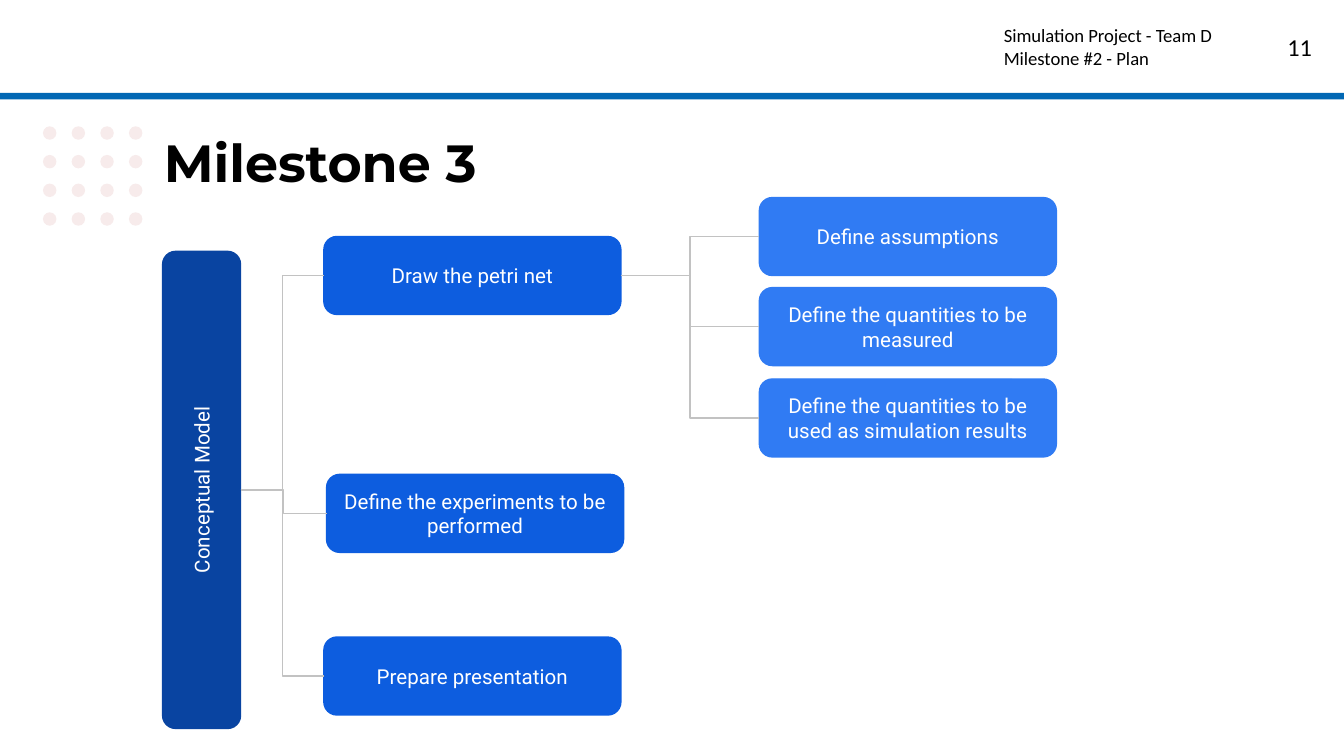
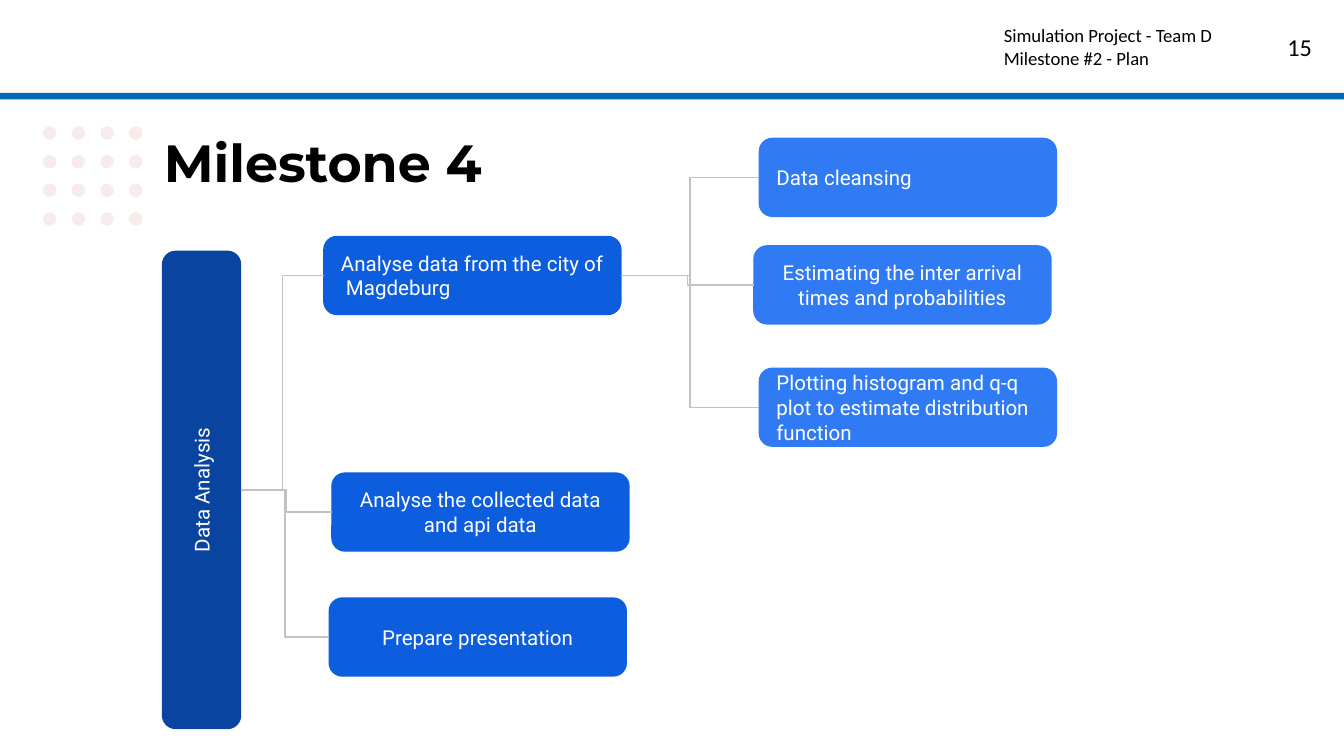
from collections import namedtuple

from lxml import etree
from pptx import Presentation
from pptx.dml.color import RGBColor
from pptx.enum.shapes import MSO_CONNECTOR, MSO_SHAPE
from pptx.enum.text import MSO_ANCHOR, PP_ALIGN
from pptx.oxml.ns import qn
from pptx.util import Inches, Pt

ELBOW = MSO_CONNECTOR.ELBOW
OVAL, RECTANGLE, ROUNDED = MSO_SHAPE.OVAL, MSO_SHAPE.RECTANGLE, MSO_SHAPE.ROUNDED_RECTANGLE
LEFT, CENTER, RIGHT = PP_ALIGN.LEFT, PP_ALIGN.CENTER, PP_ALIGN.RIGHT
TOP, MIDDLE = MSO_ANCHOR.TOP, MSO_ANCHOR.MIDDLE

COLORS = {
    "paper": "FFFFFF",
    "ink": "000000",
    "dot": "F7EBEB",
    "band": "0268B4",
    "root": "0944A1",
    "branch": "0D5DDF",
    "leaf": "307BF3",
    "link": "C2C2C2",
}

Box = namedtuple("Box", "left top width height")
# Node offsets are measured from the top left corner of the tree
Node = namedtuple("Node", "left top text align", defaults=[CENTER])

PAGE_WIDTH = 10
PAGE_HEIGHT = PAGE_WIDTH * 9 / 16
HEADER = Box(0, 0, PAGE_WIDTH, 0.74)
DOTS = Box(0.32, 0.94, 0.74, 0.74)
TITLE = Box(1.12, 0.87, 4.85, 0.71)
TREE = Box(1.21, 1.87, 6.66, 3.55)

NODE_WIDTH, NODE_HEIGHT = 2.21, 0.58
BRANCH_LEFT, LEAF_LEFT = 1.2, 4.44
DOT_COUNT, DOT_SIZE = 4, 0.1
BAND_HEIGHT = 0.05
LEFT_SITE, BOTTOM_SITE, RIGHT_SITE = 1, 2, 3

HEADER_LINES = ["Simulation Project - Team D", "Milestone #2 - Plan"]

SLIDES = [
    {
        "number": 11,
        "title": "Milestone 3",
        "root": "Conceptual Model",
        "branches": [
            Node(BRANCH_LEFT, -0.11, "Draw the petri net"),
            Node(BRANCH_LEFT + 0.02, 1.66, "Define the experiments to be performed"),
            Node(BRANCH_LEFT, 2.87, "Prepare presentation"),
        ],
        "leaves": [
            Node(LEAF_LEFT, -0.4, "Define assumptions"),
            Node(LEAF_LEFT, 0.27, "Define the quantities to be measured"),
            Node(LEAF_LEFT, 0.95, "Define the quantities to be used as simulation results"),
        ],
    },
    {
        "number": 15,
        "title": "Milestone 4",
        "root": "Data Analysis",
        "branches": [
            Node(BRANCH_LEFT, -0.11, "Analyse data from the city of  Magdeburg", LEFT),
            Node(BRANCH_LEFT + 0.06, 1.65, "Analyse the collected data and api data"),
            Node(BRANCH_LEFT + 0.04, 2.58, "Prepare presentation"),
        ],
        "leaves": [
            Node(LEAF_LEFT, -0.84, "Data cleansing", LEFT),
            Node(LEAF_LEFT - 0.04, -0.04, "Estimating the inter arrival times and probabilities"),
            Node(LEAF_LEFT, 0.87,
                 "Plotting histogram and q-q plot to estimate distribution function", LEFT),
        ],
    },
]


def color(name):
    return RGBColor.from_string(COLORS[name])


def to_inches(box):
    return [Inches(length) for length in box]


def add_block(page, kind, box, fill, outlined=False):
    block = page.shapes.add_shape(kind, *to_inches(box))
    block.shadow.inherit = False
    block.fill.solid()
    block.fill.fore_color.rgb = color(fill)
    if outlined:
        block.line.color.rgb = color(fill)
        block.line.width = Pt(0.75)
    else:
        block.line.fill.background()
    return block


def write(shape, lines, font, size, ink="ink", align=LEFT, anchor=TOP, bold=False):
    frame = shape.text_frame
    frame.word_wrap = True
    frame.vertical_anchor = anchor
    frame.margin_left = frame.margin_right = Inches(0.1)
    frame.margin_top = frame.margin_bottom = Inches(0.1)
    frame.text = "\n".join(lines)
    for paragraph in frame.paragraphs:
        paragraph.alignment = align
        paragraph.font.name = font
        paragraph.font.size = Pt(size)
        paragraph.font.bold = bold
        paragraph.font.color.rgb = color(ink)


def add_text(page, box, lines, font, size, **style):
    write(page.shapes.add_textbox(*to_inches(box)), lines, font, size, **style)


def add_dots(page, box):
    step = (box.width - DOT_SIZE) / (DOT_COUNT - 1)
    for row in range(DOT_COUNT):
        for column in range(DOT_COUNT):
            dot = Box(box.left + column * step, box.top + row * step, DOT_SIZE, DOT_SIZE)
            add_block(page, OVAL, dot, "dot")


def add_header(page, box, number):
    band_top = box.top + box.height - BAND_HEIGHT
    add_block(page, RECTANGLE, box._replace(height=box.height - BAND_HEIGHT), "paper")
    add_block(page, RECTANGLE, box._replace(top=band_top, height=BAND_HEIGHT), "band")
    right = box.left + box.width
    add_text(page, Box(right - 0.74, box.top + 0.14, 0.6, 0.43), [str(number)],
             "Calibri", 13, align=RIGHT)
    add_text(page, Box(right - 2.63, box.top + 0.08, 2.08, 0.52), HEADER_LINES, "Calibri", 10)


def add_node(page, box, text, fill, align=CENTER):
    node = add_block(page, ROUNDED, box, fill, outlined=True)
    write(node, [text], "Roboto", 11, ink="paper", align=align, anchor=MIDDLE)
    return node


def add_link(page, parent, site, start, child):
    link = page.shapes.add_connector(ELBOW, *start, child.left, child.top)
    link.begin_connect(parent, site)
    link.end_connect(child, LEFT_SITE)
    # The visible start differs from the glued one when the parent is rotated
    link.begin_x, link.begin_y = start
    link.line.color.rgb = color("link")
    link.line.width = Pt(0.75)
    properties = link._element.find(qn("p:spPr"))
    etree.SubElement(properties, qn("a:effectLst"))


def add_tree(page, box, content):
    def add_level(nodes, fill):
        return [
            add_node(page, Box(box.left + node.left, box.top + node.top, NODE_WIDTH, NODE_HEIGHT),
                     node.text, fill, node.align)
            for node in nodes
        ]

    # Root bar: a horizontal node turned to read upwards
    center_x = box.left + NODE_HEIGHT / 2
    center_y = box.top + box.height / 2
    root_box = Box(center_x - box.height / 2, center_y - NODE_HEIGHT / 2,
                   box.height, NODE_HEIGHT)
    root = add_node(page, root_box, content["root"], "root")
    root.rotation = 270

    # Two levels of nodes
    branches = add_level(content["branches"], "branch")
    leaves = add_level(content["leaves"], "leaf")

    # Links from the root to the branches, and from the first branch to the leaves
    root_start = Inches(box.left + NODE_HEIGHT), Inches(center_y)
    for branch in branches:
        add_link(page, root, BOTTOM_SITE, root_start, branch)
    first = branches[0]
    first_start = first.left + first.width, first.top + first.height // 2
    for leaf in leaves:
        add_link(page, first, RIGHT_SITE, first_start, leaf)


def add_milestone(deck, content):
    page = deck.slides.add_slide(deck.slide_layouts[6])
    add_dots(page, DOTS)
    add_header(page, HEADER, content["number"])
    add_tree(page, TREE, content)
    add_text(page, TITLE, [content["title"]], "Montserrat", 28, bold=True)


def main():
    deck = Presentation()
    deck.slide_width, deck.slide_height = Inches(PAGE_WIDTH), Inches(PAGE_HEIGHT)
    for content in SLIDES:
        add_milestone(deck, content)
    deck.save("out.pptx")


if __name__ == "__main__":
    main()
